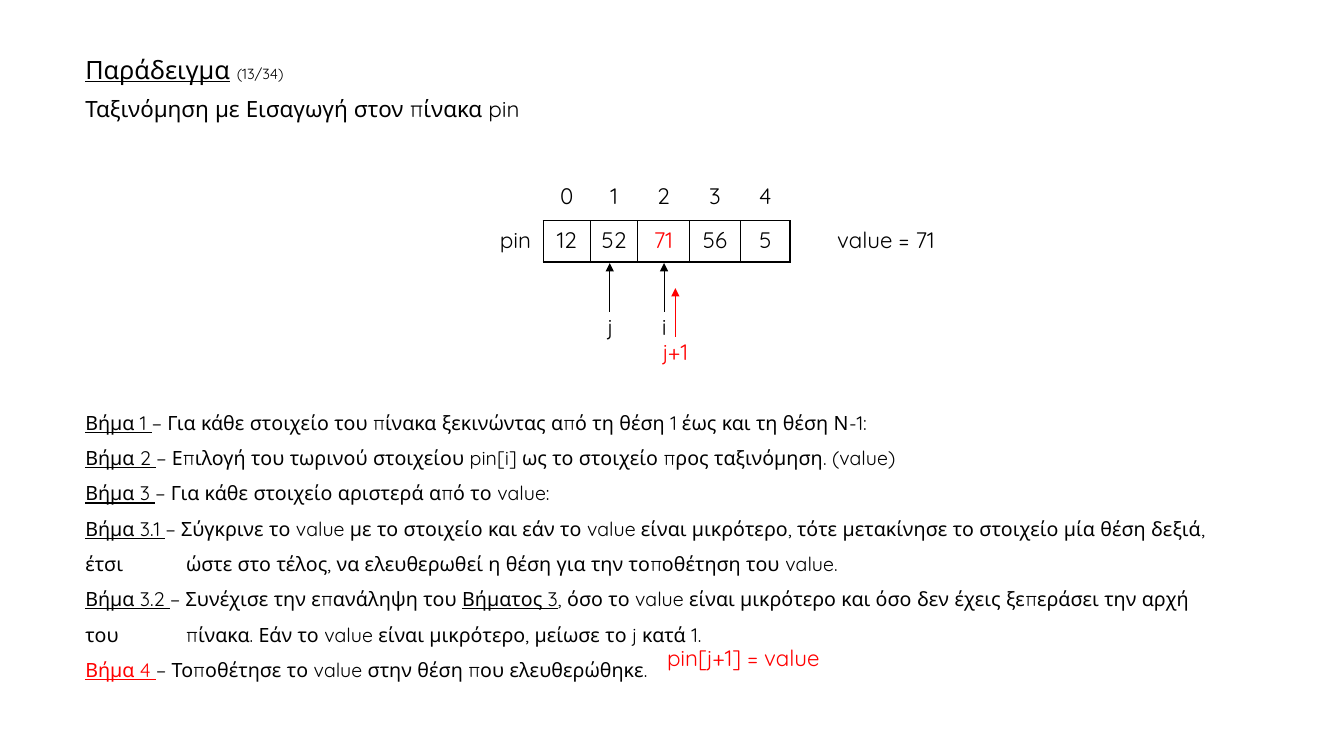
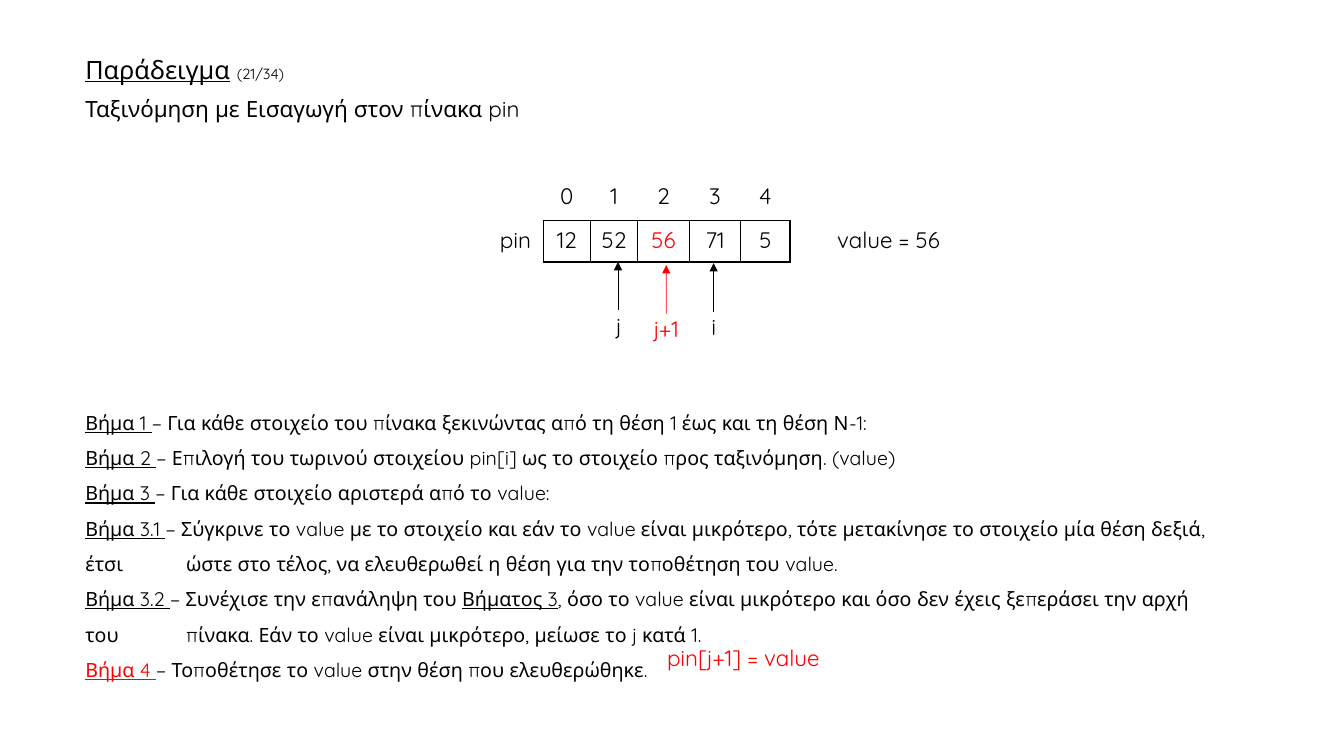
"""Build two slides that trace insertion sort on the array pin."""
from dataclasses import dataclass

from lxml.etree import SubElement
from pptx import Presentation
from pptx.dml.color import RGBColor
from pptx.enum.shapes import MSO_CONNECTOR
from pptx.enum.text import PP_ALIGN
from pptx.oxml.ns import qn
from pptx.util import Cm, Pt


@dataclass(frozen=True)
class Theme:
    font: str = "Quicksand"
    ink: RGBColor = RGBColor(0, 0, 0)
    accent: RGBColor = RGBColor(255, 0, 0)
    title_size: Pt = Pt(18)
    counter_size: Pt = Pt(10.5)
    label_size: Pt = Pt(16)
    step_size: Pt = Pt(14)
    line_width: Pt = Pt(0.5)
    border_width: Pt = Pt(1)


theme = Theme()


def write_runs(paragraph, runs, size=theme.label_size, color=theme.ink):
    for text, changes in runs:
        values = {"name": theme.font, "size": size, "color": color, **changes}
        run = paragraph.add_run()
        run.text = text
        run.font.color.rgb = values.pop("color")
        for attribute, value in values.items():
            setattr(run.font, attribute, value)


def add_text(slide, box, paragraphs, line_spacing=0.9, space_before=Pt(10),
             align=PP_ALIGN.LEFT, **style):
    shape = slide.shapes.add_textbox(*(Cm(length) for length in box))
    frame = shape.text_frame
    frame.word_wrap = True
    for index, runs in enumerate(paragraphs):
        paragraph = frame.add_paragraph() if index else frame.paragraphs[0]
        layout = {"alignment": align, "line_spacing": line_spacing,
                  "space_before": space_before if index else Pt(0)}
        for attribute, value in layout.items():
            setattr(paragraph, attribute, value)
        write_runs(paragraph, runs, **style)
    return shape


UNDERLINED = {"underline": True}
STEPS = [
    [("Βήμα 1 ", UNDERLINED),
     ("− Για κάθε στοιχείο του πίνακα ξεκινώντας από τη θέση 1 έως και τη θέση Ν-1:", {})],
    [("Βήμα 2 ", UNDERLINED),
     ("− Επιλογή του τωρινού στοιχείου pin[i] ως το στοιχείο προς ταξινόμηση. (value)", {})],
    [("Βήμα 3 ", UNDERLINED),
     ("− Για κάθε στοιχείο αριστερά από το value:", {})],
    [("Βήμα 3.1 ", UNDERLINED),
     ("− Σύγκρινε το value με το στοιχείο και εάν το value είναι μικρότερο, "
      "τότε μετακίνησε το στοιχείο μία θέση δεξιά, έτσι \tώστε στο τέλος, "
      "να ελευθερωθεί η θέση για την τοποθέτηση του value.", {})],
    [("Βήμα 3.2 ", UNDERLINED),
     ("− Συνέχισε την επανάληψη του ", {}),
     ("Βήματος 3", UNDERLINED),
     (", όσο το value είναι μικρότερο και όσο δεν έχεις ξεπεράσει την αρχή του "
      "\tπίνακα. Εάν το value είναι μικρότερο, μείωσε το j κατά 1.", {})],
    [("Βήμα 4 ", {"underline": True, "color": theme.accent}),
     ("− Τοποθέτησε το value στην θέση που ελευθερώθηκε.", {})],
]

COLUMN_WIDTHS = [1.4, 1.19, 1.19, 1.3, 1.3, 1.24]
ROW_HEIGHTS = [1.09, 1.04]
POINTER_WIDTHS = {"j": 0.61, "i": 0.61, "j+1": 1.42}
POINTER_HEIGHT = 0.91
ARROW_LENGTH = 1.22
INSERT_COLUMN = 3

STATES = [
    {"counter": "(13/34)", "array": ["12", "52", "71", "56", "5"], "value": "71",
     "pointers": {"j+1": (16.31, 8.48), "j": (15.06, 7.85), "i": (16.43, 7.85)}},
    {"counter": "(21/34)", "array": ["12", "52", "56", "71", "5"], "value": "56",
     "pointers": {"j+1": (16.08, 7.9), "j": (15.27, 7.82), "i": (17.68, 7.85)}},
]

presentation = Presentation()
presentation.slide_width = Cm(33.87)
presentation.slide_height = Cm(19.05)

for state in STATES:
    slide = presentation.slides.add_slide(presentation.slide_layouts[6])

    steps = add_text(slide, (1.9, 9.93, 29.29, 7.32), STEPS, line_spacing=1.5,
                     space_before=Pt(0), size=theme.step_size)
    for paragraph in steps.text_frame.paragraphs:
        tabs = SubElement(paragraph._p.get_or_add_pPr(), qn("a:tabLst"))
        SubElement(tabs, qn("a:tab"), pos=str(Cm(2.54)), algn="l")

    add_text(slide, (1.9, 1.32, 27.41, 1.96), [
        [("Παράδειγμα", {"size": theme.title_size, **UNDERLINED}),
         (" ", {"size": theme.title_size}),
         (state["counter"], {"size": theme.counter_size})],
        [("Ταξινόμηση με Εισαγωγή στον πίνακα pin", {})],
    ])
    add_text(slide, (16.56, 16.18, 5.03, 1.19), [[("pin[j+1] = value", {})]],
             color=theme.accent)
    add_text(slide, (20.85, 5.64, 3.33, 1.19), [[(f"value = {state['value']}", {})]])

    for name, (left, top) in state["pointers"].items():
        color = theme.accent if name == "j+1" else theme.ink
        width = POINTER_WIDTHS[name]
        label = add_text(slide, (left, top, width, POINTER_HEIGHT), [[(name, {})]],
                         align=PP_ALIGN.CENTER, color=color)
        center = Cm(left + width / 2)
        arrow = slide.shapes.add_connector(
            MSO_CONNECTOR.STRAIGHT, center, Cm(top), center, Cm(top - ARROW_LENGTH))
        arrow.begin_connect(label, 0)
        arrow.line.color.rgb = color
        arrow.line.width = theme.line_width
        SubElement(arrow.line._get_or_add_ln(), qn("a:tailEnd"), type="triangle")
        SubElement(arrow._element.spPr, qn("a:effectLst"))

    table = slide.shapes.add_table(
        len(ROW_HEIGHTS), len(COLUMN_WIDTHS), Cm(12.29), Cm(4.47),
        Cm(sum(COLUMN_WIDTHS)), Cm(sum(ROW_HEIGHTS))).table
    table.first_row = False
    table.horz_banding = False
    for column, width in zip(table.columns, COLUMN_WIDTHS):
        column.width = Cm(width)
    for row, height in zip(table.rows, ROW_HEIGHTS):
        row.height = Cm(height)

    rows = [["", "0", "1", "2", "3", "4"], ["pin", *state["array"]]]
    for row_index, texts in enumerate(rows):
        for column_index, text in enumerate(texts):
            cell = table.cell(row_index, column_index)
            if column_index == 0:
                drawn_sides = "R" if row_index else ""
            else:
                drawn_sides = "LRTB" if row_index else "B"
            properties = cell._tc.get_or_add_tcPr()
            for side in "LRTB":
                border = SubElement(properties, qn(f"a:ln{side}"),
                                    w=str(theme.border_width))
                if side in drawn_sides:
                    fill = SubElement(border, qn("a:solidFill"))
                    SubElement(fill, qn("a:srgbClr"), val=str(theme.ink))
                else:
                    SubElement(border, qn("a:noFill"))
            cell.fill.background()
            if text:
                paragraph = cell.text_frame.paragraphs[0]
                paragraph.alignment = PP_ALIGN.CENTER
                inserted = row_index == 1 and column_index == INSERT_COLUMN
                write_runs(paragraph, [(text, {})],
                           color=theme.accent if inserted else theme.ink)

presentation.save("out.pptx")
